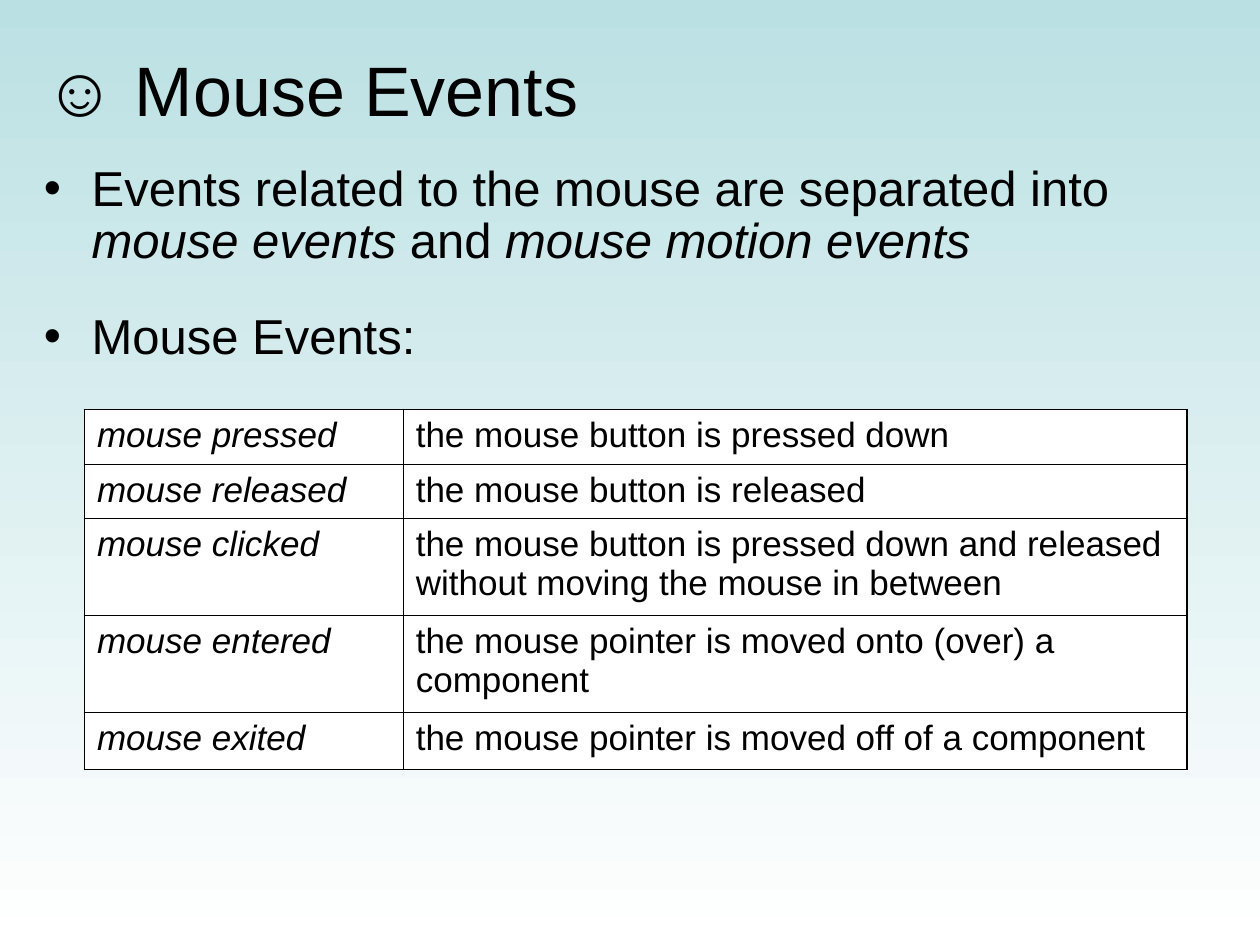
"""Build the Mouse Events slide with its bullets and event table."""
from lxml.etree import SubElement
from pptx import Presentation
from pptx.dml.color import RGBColor as Rgb
from pptx.enum.text import MSO_ANCHOR as Anchor, MSO_AUTO_SIZE as AutoSize, PP_ALIGN as Align
from pptx.oxml.ns import qn
from pptx.util import Inches, Pt

COLORS = {"ink": "000000", "sky": "BBE0E3", "paper": "FFFFFF"}
FONT = "Arial"
WIDTH, HEIGHT = Inches(10), Inches(7.5)
MARGIN = 0.025
INDENT = Inches(0.38)
THICK, THIN = Pt(1.08), Pt(0.45)
COLUMNS = (2.53, 6.22)
ROWS = (0.43, 0.43, 0.77, 0.77, 0.45)
BULLETS = (
    (("Events related to the mouse are separated into ", False), ("mouse events", True),
     (" and ", False), ("mouse motion events", True)),
    (("Mouse Events:", False),),
)
EVENTS = (
    ("mouse pressed", "the mouse button is pressed down"),
    ("mouse released", "the mouse button is released"),
    ("mouse clicked",
     "the mouse button is pressed down and released without moving the mouse in between"),
    ("mouse entered", "the mouse pointer is moved onto (over) a component"),
    ("mouse exited", "the mouse pointer is moved off of a component"),
)


def color(name):
    """Return the named colour."""
    return Rgb.from_string(COLORS[name])


def add_span(para, text, size, italic=False):
    """Add one formatted run to a paragraph."""
    span = para.add_run()
    span.text = text
    span.font.name = FONT
    span.font.size = Pt(size)
    span.font.italic = italic
    span.font.color.rgb = color("ink")


def paint_background(page):
    """Fill the page with a gradient running from top to bottom."""
    fill = page.background.fill
    fill.gradient()
    fill.gradient_angle = 270
    for stop, name in zip(fill.gradient_stops, ("sky", "paper")):
        stop.color.rgb = color(name)


def set_title(page, text):
    """Place and format the title placeholder."""
    title = page.shapes.title
    title.left, title.top = int(WIDTH * MARGIN), int(HEIGHT * 0.01)
    title.width, title.height = int(WIDTH * 0.93), Inches(1.25)
    frame = title.text_frame
    frame.auto_size = AutoSize.NONE
    frame.vertical_anchor = Anchor.MIDDLE
    para = frame.paragraphs[0]
    para.alignment = Align.LEFT
    add_span(para, text, 40)


def set_bullet(para):
    """Give a paragraph a hanging round bullet."""
    props = para._p.get_or_add_pPr()
    props.set("marL", str(INDENT))
    props.set("indent", str(-INDENT))
    tint = SubElement(props, qn("a:buClr"))
    SubElement(tint, qn("a:srgbClr"), val=COLORS["ink"])
    SubElement(props, qn("a:buFont"), typeface=FONT)
    SubElement(props, qn("a:buChar"), char="•")


def add_bullets(page, items):
    """Add the bulleted text under the title."""
    box = page.shapes.add_textbox(int(WIDTH * MARGIN), Inches(1.25),
                                  int(WIDTH * (1 - 2 * MARGIN)), Inches(1.83))
    frame = box.text_frame
    frame.word_wrap = True
    for index, spans in enumerate(items):
        para = frame.add_paragraph() if index else frame.paragraphs[0]
        set_bullet(para)
        para.line_spacing = 0.9
        para.space_before = Pt(24.5 if index else 0)
        for text, italic in spans:
            add_span(para, text, 28, italic)


def set_borders(cell, outer_sides):
    """Draw a cell's borders, thicker on the outer sides of the table."""
    props = cell._tc.get_or_add_tcPr()
    for side in "LRTB":
        width = THICK if side in outer_sides else THIN
        line = SubElement(props, qn(f"a:ln{side}"), w=str(width))
        paint = SubElement(line, qn("a:solidFill"))
        SubElement(paint, qn("a:srgbClr"), val=COLORS["ink"])


def fill_cell(cell, text, italic, outer_sides):
    """Write and style one table cell."""
    set_borders(cell, outer_sides)
    cell.fill.solid()
    cell.fill.fore_color.rgb = color("paper")
    cell.margin_left = cell.margin_right = Inches(0.1)
    cell.margin_top = cell.margin_bottom = Inches(0.05)
    add_span(cell.text_frame.paragraphs[0], text, 20, italic)


def add_event_table(page, events):
    """Add the table of events and their meanings."""
    table = page.shapes.add_table(len(ROWS), len(COLUMNS), Inches(0.67), Inches(3.25),
                                  Inches(sum(COLUMNS)), Inches(sum(ROWS))).table
    table.first_row = table.horz_banding = False
    for column, width in zip(table.columns, COLUMNS):
        column.width = Inches(width)
    for row, height in zip(table.rows, ROWS):
        row.height = Inches(height)
    for r, texts in enumerate(events):
        vertical = {0: "T", len(ROWS) - 1: "B"}.get(r, "")
        for c, text in enumerate(texts):
            fill_cell(table.cell(r, c), text, c == 0, "LR"[c] + vertical)


def main():
    """Build and save the deck."""
    deck = Presentation()
    deck.slide_width, deck.slide_height = WIDTH, HEIGHT
    page = deck.slides.add_slide(deck.slide_layouts.get_by_name("Title Only"))
    paint_background(page)
    set_title(page, "☺ Mouse Events")
    add_bullets(page, BULLETS)
    add_event_table(page, EVENTS)
    deck.save("out.pptx")


if __name__ == "__main__":
    main()
